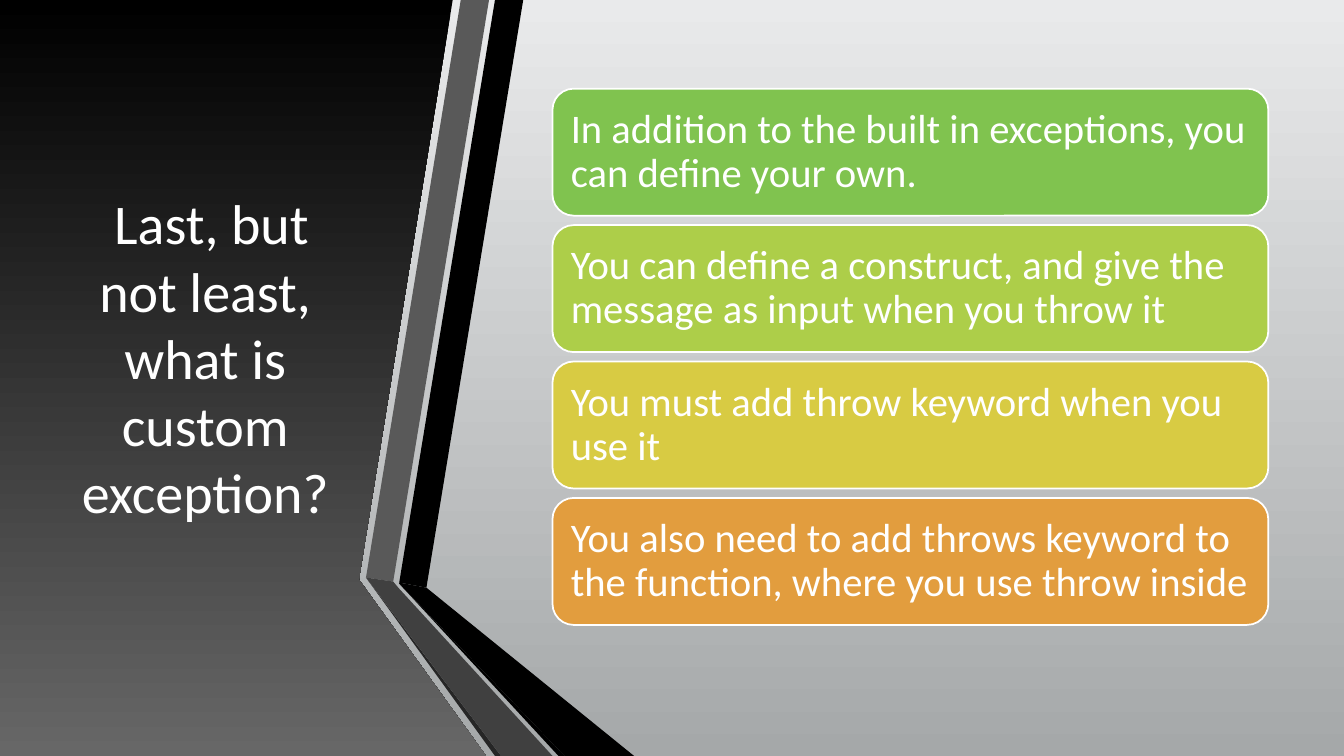
from pptx import Presentation
from pptx import util as u
from pptx.dml.color import RGBColor
from pptx.enum import shapes, text

COLORS = {
    "white": "FFFFFF", "black": "000000",
    "bg_top": "E9EAEB", "bg_bottom": "A5A8A9", "panel_bottom": "676767",
    "band": "595959", "band_edge": "262626", "band_low": "404040",
    "green": "80C34F", "lime": "ADCE49", "yellow": "D8CB43", "orange": "E29D3E",
}
FONT = "Calibri"
PANEL = [(0, 0), (4.49, 0), (3.56, 5.75), (4.82, 7.5), (0, 7.5)]
BANDS = [
    ("black", [(3.96, 5.78), (4.23, 5.83), (5.19, 0), (4.91, 0)]),
    ("band", [(4.85, 0), (4.57, 0), (3.63, 5.73), (3.9, 5.77)]),
    ("band_edge", [(3.63, 5.73), (4.91, 7.5), (4.97, 7.5)]),
    ("black", [(3.96, 5.79), (5.54, 7.5), (5.6, 7.5)]),
    ("black", [(3.96, 5.79), (5.6, 7.5), (6.29, 7.5), (4.23, 5.83), (3.96, 5.78)]),
    ("band_low", [(5.48, 7.5), (3.95, 5.83), (3.9, 5.77), (3.63, 5.73), (4.97, 7.5)]),
]
POINTS = [
    ("green", "In addition to the built in exceptions, you can define your own."),
    ("lime", "You can define a construct, and give the message as input when you throw it"),
    ("yellow", "You must add throw keyword when you use it"),
    ("orange", "You also need to add throws keyword to the function, where you use throw inside"),
]
CARD_TOP, LAST_CARD_TOP = 0.88, 4.94


def rgb(name):
    return RGBColor.from_string(COLORS[name])


def fill_solid(sp, color):
    sp.fill.solid()
    sp.fill.fore_color.rgb = rgb(color)


def fill_vertical(fill, top, bottom):
    fill.gradient()
    fill.gradient_angle = 270
    for stop, color in zip(fill.gradient_stops, (top, bottom)):
        stop.color.rgb = rgb(color)


def add_polygon(s, points):
    corners = [(u.Inches(x), u.Inches(y)) for x, y in points]
    builder = s.shapes.build_freeform(*corners[0])
    builder.add_line_segments(corners[1:], close=True)
    sp = builder.convert_to_shape()
    sp.shadow.inherit = False
    sp.line.fill.background()
    return sp


def write_text(tf, words, size, align):
    tf.word_wrap = True
    tf.auto_size = text.MSO_AUTO_SIZE.NONE
    tf.vertical_anchor = text.MSO_ANCHOR.MIDDLE
    p = tf.paragraphs[0]
    p.alignment = align
    r = p.add_run()
    r.text = words
    r.font.size = u.Pt(size)
    r.font.name = FONT
    r.font.color.rgb = rgb("white")
    return p


def place_title(s, words):
    title = s.shapes.title
    title.left, title.top = u.Inches(0.59), u.Inches(0.75)
    title.width, title.height = u.Inches(2.89), u.Inches(5.58)
    write_text(title.text_frame, words, 40, text.PP_ALIGN.CENTER)
    return title


def add_card(s, top, color, words):
    sp = s.shapes.add_shape(shapes.MSO_SHAPE.ROUNDED_RECTANGLE, u.Inches(5.48),
                            u.Inches(top), u.Inches(7.1), u.Inches(1.26))
    sp.shadow.inherit = False
    fill_solid(sp, color)
    sp.line.color.rgb = rgb("white")
    sp.line.width = u.Pt(1.25)
    tf = sp.text_frame
    tf.margin_left = tf.margin_right = u.Inches(0.12)
    p = write_text(tf, words, 29, text.PP_ALIGN.LEFT)
    p.line_spacing = 0.9


def main():
    prs = Presentation()
    prs.slide_width, prs.slide_height = u.Inches(13.33), u.Inches(7.5)
    s = prs.slides.add_slide(prs.slide_layouts[5])
    fill_vertical(s.background.fill, "bg_top", "bg_bottom")

    title = place_title(s, " Last, but not least, what is custom exception?")
    panel = add_polygon(s, PANEL)
    fill_vertical(panel.fill, "black", "panel_bottom")
    title.element.addprevious(panel.element)

    for color, points in BANDS:
        fill_solid(add_polygon(s, points), color)

    pitch = (LAST_CARD_TOP - CARD_TOP) / (len(POINTS) - 1)
    for i, (color, words) in enumerate(POINTS):
        add_card(s, CARD_TOP + i * pitch, color, words)

    prs.save("out.pptx")


if __name__ == "__main__":
    main()
